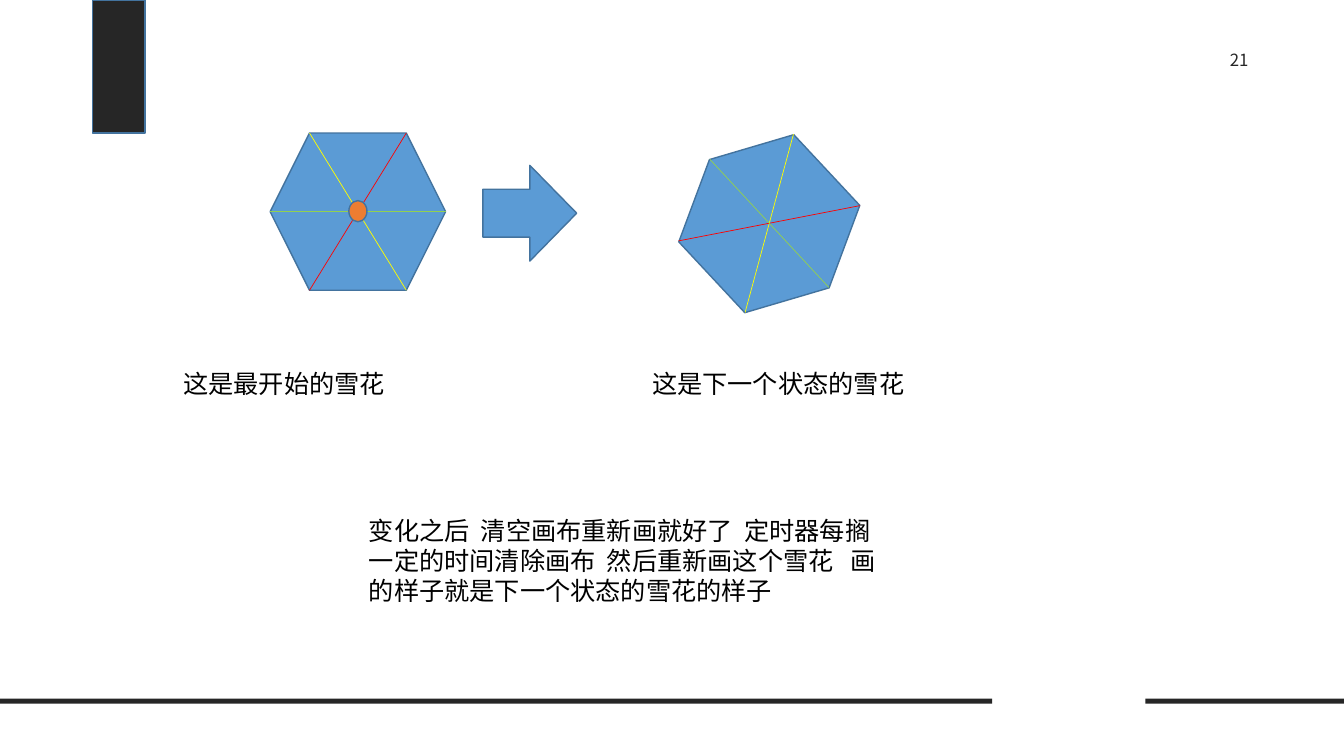
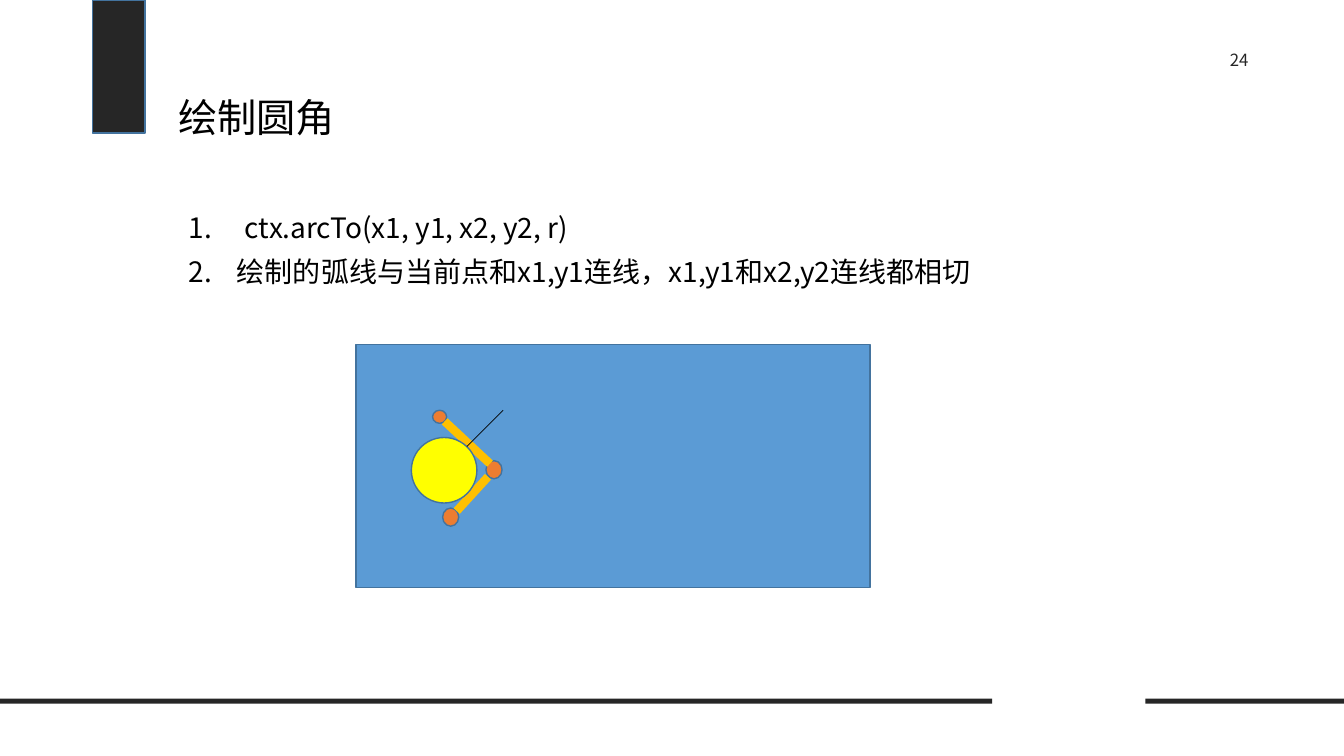
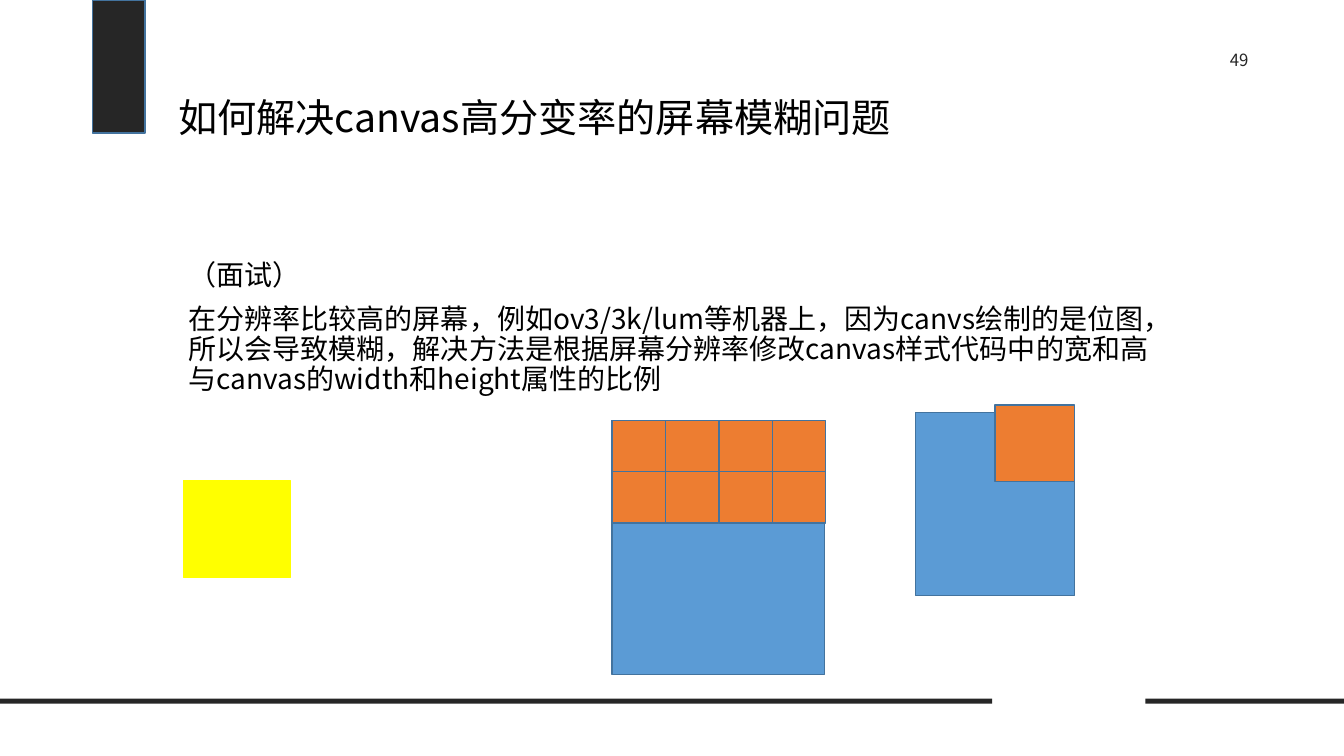
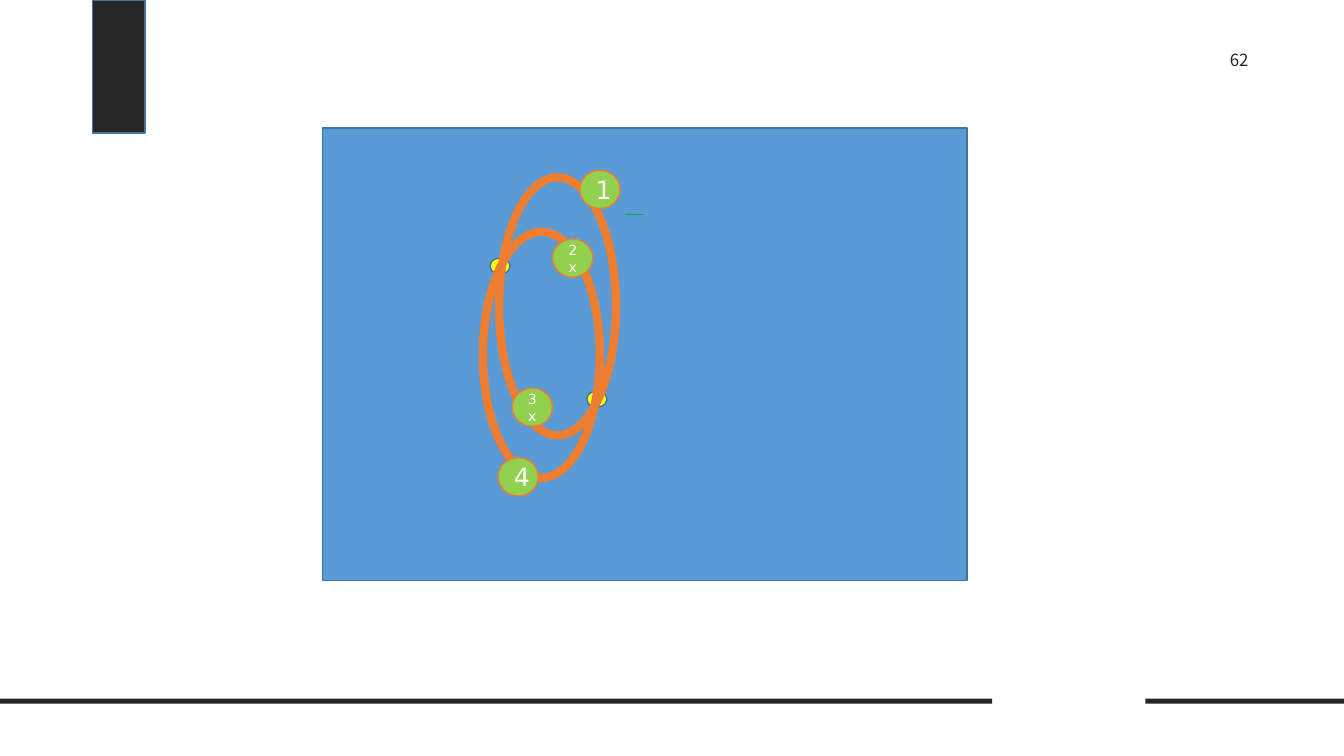
from pptx import Presentation
from pptx import util as u
from pptx.dml import color
from pptx.enum import shapes, text
from pptx.oxml import ns
from lxml import etree

CJK = "Noto Sans CJK SC"
SANS = "DejaVu Sans"
BLACK, DARK, WHITE = "000000", "262626", "FFFFFF"
BLUE, EDGE, ORANGE = "5B9BD5", "43739E", "ED7D31"
YELLOW, RED, GREEN, AMBER = "FFFF00", "FF0000", "92D050", "FFC000"
KIND = shapes.MSO_SHAPE


def rgb(value):
    return color.RGBColor.from_string(value)


def inches(values):
    return [u.Inches(value) for value in values]


def set_font(para, name, size, tint):
    font = para.font
    font.name, font.size = name, u.Pt(size)
    font.color.rgb = rgb(tint)
    if name == CJK:
        properties = para._p.pPr.find(ns.qn("a:defRPr"))
        etree.SubElement(properties, ns.qn("a:ea")).set("typeface", name)


def add_figure(page, kind, place, fill=BLUE, line=EDGE, width=1, turn=0):
    figure = page.shapes.add_shape(kind, *inches(place))
    figure.shadow.inherit = False
    figure.rotation = turn
    if fill:
        figure.fill.solid()
        figure.fill.fore_color.rgb = rgb(fill)
    else:
        figure.fill.background()
    if line:
        figure.line.color.rgb = rgb(line)
        figure.line.width = u.Pt(width)
    else:
        figure.line.fill.background()
    return figure


def add_line(page, start, end, tint, width=0.5):
    line = page.shapes.add_connector(
        shapes.MSO_CONNECTOR.STRAIGHT, *inches(start + end))
    line.line.color.rgb = rgb(tint)
    line.line.width = u.Pt(width)
    etree.SubElement(line._element.spPr, ns.qn("a:effectLst"))


def add_text(page, place, lines, size=18, name=SANS, tint=BLACK, margins=(0.1, 0.05)):
    box = page.shapes.add_textbox(*inches(place))
    frame = box.text_frame
    frame.word_wrap = True
    frame.margin_left = frame.margin_right = u.Inches(margins[0])
    frame.margin_top = frame.margin_bottom = u.Inches(margins[1])
    frame.text = "\n".join(lines)
    for para in frame.paragraphs:
        set_font(para, name, size, tint)
    return frame


def add_title(page, title):
    frame = add_text(page, (1.67, 0.62, 10, 0.83), [title], 28, CJK)
    frame.vertical_anchor = text.MSO_ANCHOR.BOTTOM
    frame.paragraphs[0].line_spacing = 0.9


def add_body(page, top, height, lines):
    frame = add_text(page, (1.67, top, 10, height), lines, 20, CJK, margins=(0.2, 0.1))
    for index, para in enumerate(frame.paragraphs):
        para.line_spacing = u.Pt(21.5)
        para.space_before = u.Pt(10 if index else 0)
    return frame


def number_para(para, indent):
    properties = para._p.get_or_add_pPr()
    properties.set("marL", str(u.Inches(indent)))
    properties.set("indent", str(-u.Inches(indent)))
    bullet = etree.Element(ns.qn("a:buAutoNum"), type="arabicPeriod")
    properties.find(ns.qn("a:defRPr")).addprevious(bullet)


def add_page(deck, number):
    page = deck.slides.add_slide(deck.slide_layouts[6])
    add_figure(page, KIND.RECTANGLE, (0.92, 0, 0.52, 1.32), DARK)
    for left, width in ((0, 9.84), (11.36, 1.97)):
        add_figure(page, KIND.RECTANGLE, (left, 6.93, width, 0.05), DARK, None)
    frame = add_text(page, (11.84, 0.39, 0.9, 0.44), [str(number)], 12, CJK, DARK, (0.2, 0.1))
    frame.paragraphs[0].alignment = text.PP_ALIGN.CENTER
    return page


def add_snowflake(page, left, top, turn, spokes):
    add_figure(page, KIND.HEXAGON, (left, top, 1.74, 1.56), turn=turn)
    for (start, end), tint in zip(spokes, (YELLOW, RED, GREEN)):
        add_line(page, start, end, tint)


def add_badge(page, left, top, label, size):
    badge = add_figure(page, KIND.OVAL, (left, top, 0.4, 0.38), GREEN, ORANGE)
    frame = badge.text_frame
    frame.text = label
    frame.vertical_anchor = text.MSO_ANCHOR.MIDDLE
    para = frame.paragraphs[0]
    para.alignment = text.PP_ALIGN.CENTER
    set_font(para, SANS, size, WHITE)


def build_snowflakes(deck):
    page = add_page(deck, 21)
    add_snowflake(page, 2.68, 1.32, 0, (
        ((3.07, 1.32), (4.03, 2.88)),
        ((3.07, 2.88), (4.03, 1.32)),
        ((2.68, 2.1), (4.42, 2.1))))
    add_snowflake(page, 6.76, 1.44, 47, (
        ((7.87, 1.33), (7.39, 3.1)),
        ((6.73, 2.39), (8.53, 2.04)),
        ((7.04, 1.58), (8.22, 2.85))))
    add_figure(page, KIND.RIGHT_ARROW, (4.79, 1.64, 0.93, 0.95))
    add_figure(page, KIND.OVAL, (3.46, 1.99, 0.18, 0.21), ORANGE)
    add_text(page, (1.72, 3.6, 2.31, 0.4), ["这是最开始的雪花"])
    add_text(page, (6.37, 3.6, 2.93, 0.4), ["这是下一个状态的雪花"])
    add_text(page, (3.56, 5.06, 5.23, 1.01), [
        "变化之后  清空画布重新画就好了  定时器每搁一定的时间清除画布  "
        "然后重新画这个雪花   画的样子就是下一个状态的雪花的样子"])


def build_round_corner(deck):
    page = add_page(deck, 24)
    add_title(page, "绘制圆角")
    frame = add_body(page, 2.02, 4.28, [
        "ctx.arcTo(x1, y1, x2, y2, r)",
        "绘制的弧线与当前点和x1,y1连线，x1,y1和x2,y2连线都相切"])
    for para, indent in zip(frame.paragraphs, (0.56, 0.48)):
        number_para(para, indent)
    add_figure(page, KIND.RECTANGLE, (3.53, 3.42, 5.1, 2.41))
    for place in ((4.29, 4.07, 0.14, 0.13), (4.82, 4.57, 0.16, 0.18)):
        add_figure(page, KIND.OVAL, place, ORANGE)
    add_line(page, (4.41, 4.18), (4.86, 4.6), AMBER, 6)
    add_figure(page, KIND.OVAL, (4.39, 5.04, 0.16, 0.18), ORANGE)
    add_line(page, (4.84, 4.73), (4.53, 5.07), AMBER, 6)
    add_figure(page, KIND.OVAL, (4.08, 4.34, 0.65, 0.65), YELLOW)
    add_line(page, (4.63, 4.43), (4.99, 4.07), BLACK)


def build_resolution(deck):
    page = add_page(deck, 49)
    add_title(page, "如何解决canvas高分变率的屏幕模糊问题")
    add_body(page, 2.49, 4.1, [
        "（面试）",
        "在分辨率比较高的屏幕，例如ov3/3k/lum等机器上，因为canvs绘制的是位图，"
        "所以会导致模糊，解决方法是根据屏幕分辨率修改canvas样式代码中的"
        "宽和高与canvas的width和height属性的比例"])
    add_figure(page, KIND.RECTANGLE, (6.07, 4.17, 2.11, 2.52))
    for row in range(2):
        for column in range(4):
            place = (6.07 + 0.53 * column, 4.17 + 0.51 * row, 0.53, 0.51)
            add_figure(page, KIND.RECTANGLE, place, ORANGE)
    add_figure(page, KIND.RECTANGLE, (9.08, 4.09, 1.58, 1.82))
    add_figure(page, KIND.RECTANGLE, (9.87, 4.02, 0.79, 0.76), ORANGE)
    add_figure(page, KIND.RECTANGLE, (1.82, 4.77, 1.06, 0.96), YELLOW, YELLOW)


def build_rings(deck):
    page = add_page(deck, 62)
    add_figure(page, KIND.RECTANGLE, (3.2, 1.27, 6.39, 4.49))
    for left, top in ((4.86, 2.56), (5.82, 3.88)):
        add_figure(page, KIND.OVAL, (left, top, 0.2, 0.16), YELLOW)
    add_line(page, (6.2, 2.13), (6.39, 2.13), "00B050")
    for place in ((4.79, 2.3, 1.16, 2.44), (4.95, 1.76, 1.16, 2.56)):
        add_figure(page, KIND.OVAL, place, None, ORANGE, 6)
    for left, top, label, size in (
            (5.75, 1.69, "1", 18), (5.48, 2.37, "2x", 10),
            (5.08, 3.85, "3x", 10), (4.94, 4.54, "4", 18)):
        add_badge(page, left, top, label, size)


def main():
    deck = Presentation()
    deck.slide_width, deck.slide_height = inches((13.33, 7.5))
    build_snowflakes(deck)
    build_round_corner(deck)
    build_resolution(deck)
    build_rings(deck)
    deck.save("out.pptx")


if __name__ == "__main__":
    main()
